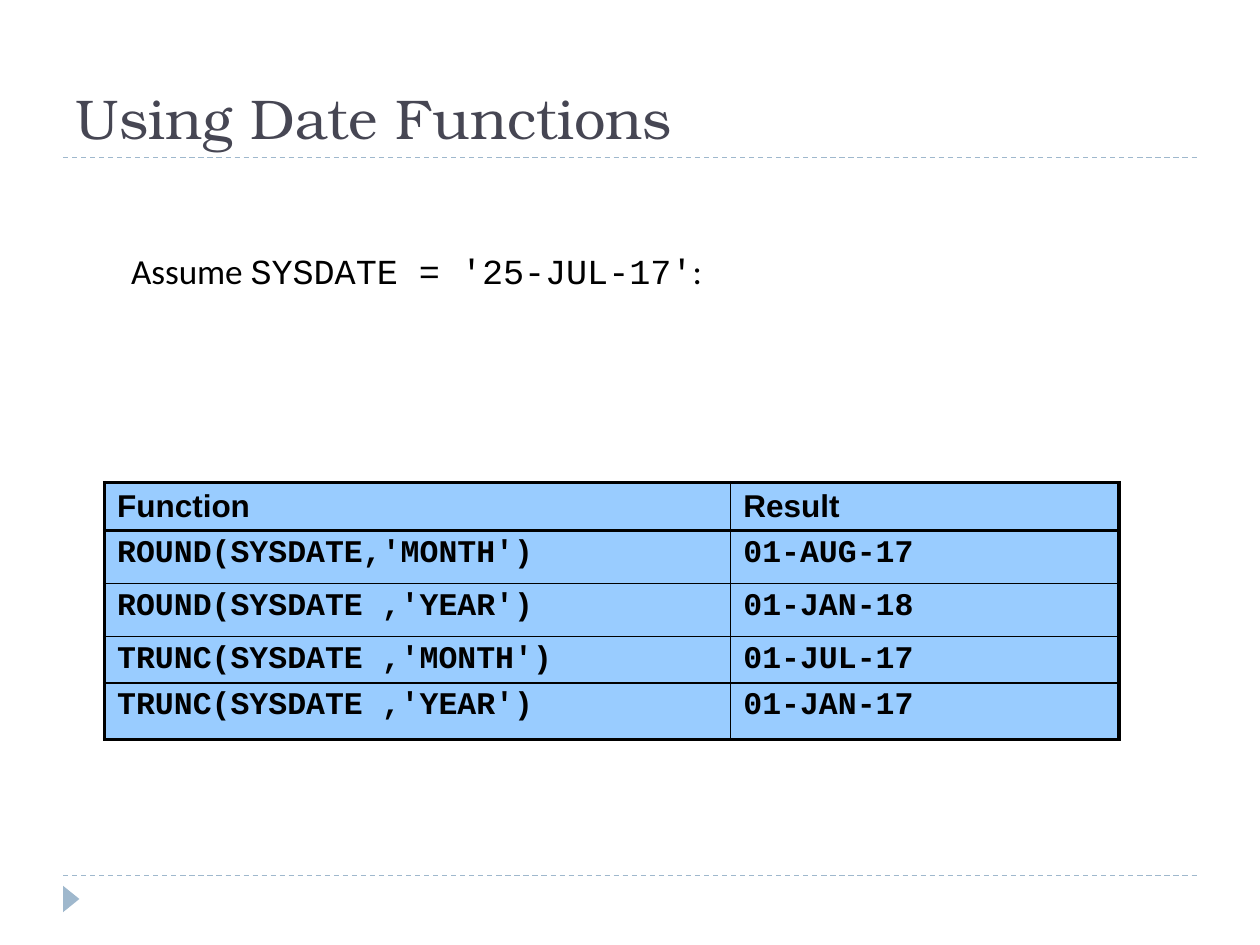
import pptx
import pptx.dml.color
import pptx.enum.dml
import pptx.enum.shapes
import pptx.enum.text
import pptx.oxml
import pptx.oxml.ns
import pptx.util
from pptx.util import Inches

BLACK, SLATE, STEEL, SKY = "000000", "464653", "9FB8CD", "99CCFF"
THICK, THIN = 2.25, 1
RESULTS = [
    ("Function", "Result"),
    ("ROUND(SYSDATE,'MONTH')", "01-AUG-17"),
    ("ROUND(SYSDATE ,'YEAR')", "01-JAN-18"),
    ("TRUNC(SYSDATE ,'MONTH')", "01-JUL-17"),
    ("TRUNC(SYSDATE ,'YEAR')", "01-JAN-17"),
]


def color(value):
    return pptx.dml.color.RGBColor.from_string(value)


def add_run(paragraph, text, font, size, ink=BLACK, bold=False):
    run = paragraph.add_run()
    run.text = text
    run.font.name = font
    run.font.size = pptx.util.Pt(size)
    run.font.bold = bold
    run.font.color.rgb = color(ink)


def place(part, left, top, width, height):
    part.left, part.top = Inches(left), Inches(top)
    part.width, part.height = Inches(width), Inches(height)


def add_rule(slide, left, top, width):
    rule = slide.shapes.add_connector(
        pptx.enum.shapes.MSO_CONNECTOR.STRAIGHT,
        Inches(left), Inches(top), Inches(left + width), Inches(top))
    rule.line.color.rgb = color(STEEL)
    rule.line.width = pptx.util.Pt(0.75)
    rule.line.dash_style = pptx.enum.dml.MSO_LINE.DASH
    rule._element.spPr.append(pptx.oxml.parse_xml(
        "<a:effectLst %s/>" % pptx.oxml.ns.nsdecls("a")))


def add_footer(slide, left, top, width):
    """Dashed rule with a right-pointing marker below its left end."""
    add_rule(slide, left, top, width)
    marker = slide.shapes.add_shape(
        pptx.enum.shapes.MSO_SHAPE.ISOSCELES_TRIANGLE,
        Inches(left - 0.04), Inches(top + 0.12), Inches(0.21), Inches(0.13))
    marker.rotation = 90
    marker.shadow.inherit = False
    marker.fill.solid()
    marker.fill.fore_color.rgb = color(STEEL)
    marker.line.fill.background()


def fill_title(slide, left, top, width, height):
    """Title text with a dashed rule along the bottom of its box."""
    title = slide.shapes.title
    place(title, left, top, width, height)
    frame = title.text_frame
    frame.auto_size = pptx.enum.text.MSO_AUTO_SIZE.NONE
    frame.vertical_anchor = pptx.enum.text.MSO_ANCHOR.BOTTOM
    paragraph = frame.paragraphs[0]
    paragraph.alignment = pptx.enum.text.PP_ALIGN.LEFT
    add_run(paragraph, "Using Date Functions", "TeX Gyre Bonum", 32, SLATE)
    add_rule(slide, left, top + height, width)


def fill_assumption(slide, left, top, width, height):
    body = slide.placeholders[1]
    place(body, left, top, width, height)
    body.text_frame.auto_size = pptx.enum.text.MSO_AUTO_SIZE.NONE
    paragraph = body.text_frame.paragraphs[0]
    paragraph.line_spacing = 0.7
    paragraph.space_before = pptx.util.Pt(0)
    properties = paragraph._p.get_or_add_pPr()
    properties.set("marL", str(Inches(0.3)))
    properties.set("indent", str(Inches(-0.3)))
    properties.append(pptx.oxml.parse_xml(
        "<a:buNone %s/>" % pptx.oxml.ns.nsdecls("a")))
    for text, font in (("Assume ", "Calibri"),
                       ("SYSDATE = '25-JUL-17'", "Courier New"),
                       (":", "Calibri")):
        add_run(paragraph, text, font, 20.1)


def set_borders(cell, left, right, top, bottom):
    """Border widths in points; the lines come before the fill in tcPr."""
    properties = cell._tc.get_or_add_tcPr()
    sides = zip("LRTB", (left, right, top, bottom))
    for position, (side, width) in enumerate(sides):
        properties.insert(position, pptx.oxml.parse_xml(
            f'<a:ln{side} {pptx.oxml.ns.nsdecls("a")} w="{pptx.util.Pt(width)}">'
            f'<a:solidFill><a:srgbClr val="{BLACK}"/></a:solidFill>'
            f'<a:prstDash val="solid"/></a:ln{side}>'))


def add_results(slide, left, top, column_widths, row_heights):
    table = slide.shapes.add_table(
        len(RESULTS), len(column_widths), Inches(left), Inches(top),
        Inches(sum(column_widths)), Inches(sum(row_heights))).table
    table.first_row = table.horz_banding = False
    for column, width in zip(table.columns, column_widths):
        column.width = Inches(width)
    last_row, last_column = len(RESULTS) - 1, len(column_widths) - 1
    for r, texts in enumerate(RESULTS):
        table.rows[r].height = Inches(row_heights[r])
        for c, text in enumerate(texts):
            cell = table.cell(r, c)
            cell.fill.solid()
            cell.fill.fore_color.rgb = color(SKY)
            set_borders(cell,
                        THICK if c == 0 else THIN,
                        THICK if c == last_column else THIN,
                        THICK if r <= 1 else THIN,
                        THICK if r in (0, last_row) else THIN)
            paragraph = cell.text_frame.paragraphs[0]
            if r > 0:
                paragraph.line_spacing = 0.95 if (r, c) == (3, 0) else 0.9
            font = "Courier New" if r > 0 else "Arial"
            add_run(paragraph, text, font, 18, bold=True)


def main():
    deck = pptx.Presentation()
    deck.slide_width, deck.slide_height = Inches(10), Inches(7.5)
    slide = deck.slides.add_slide(deck.slide_layouts[1])
    add_footer(slide, 0.5, 6.95, 9)
    fill_title(slide, 0.5, 0.17, 9, 1.08)
    fill_assumption(slide, 0.94, 2.02, 8.06, 0.36)
    add_results(slide, 0.83, 3.83, (4.97, 3.08), (0.33, 0.42, 0.42, 0.34, 0.45))
    deck.save("out.pptx")


if __name__ == "__main__":
    main()
